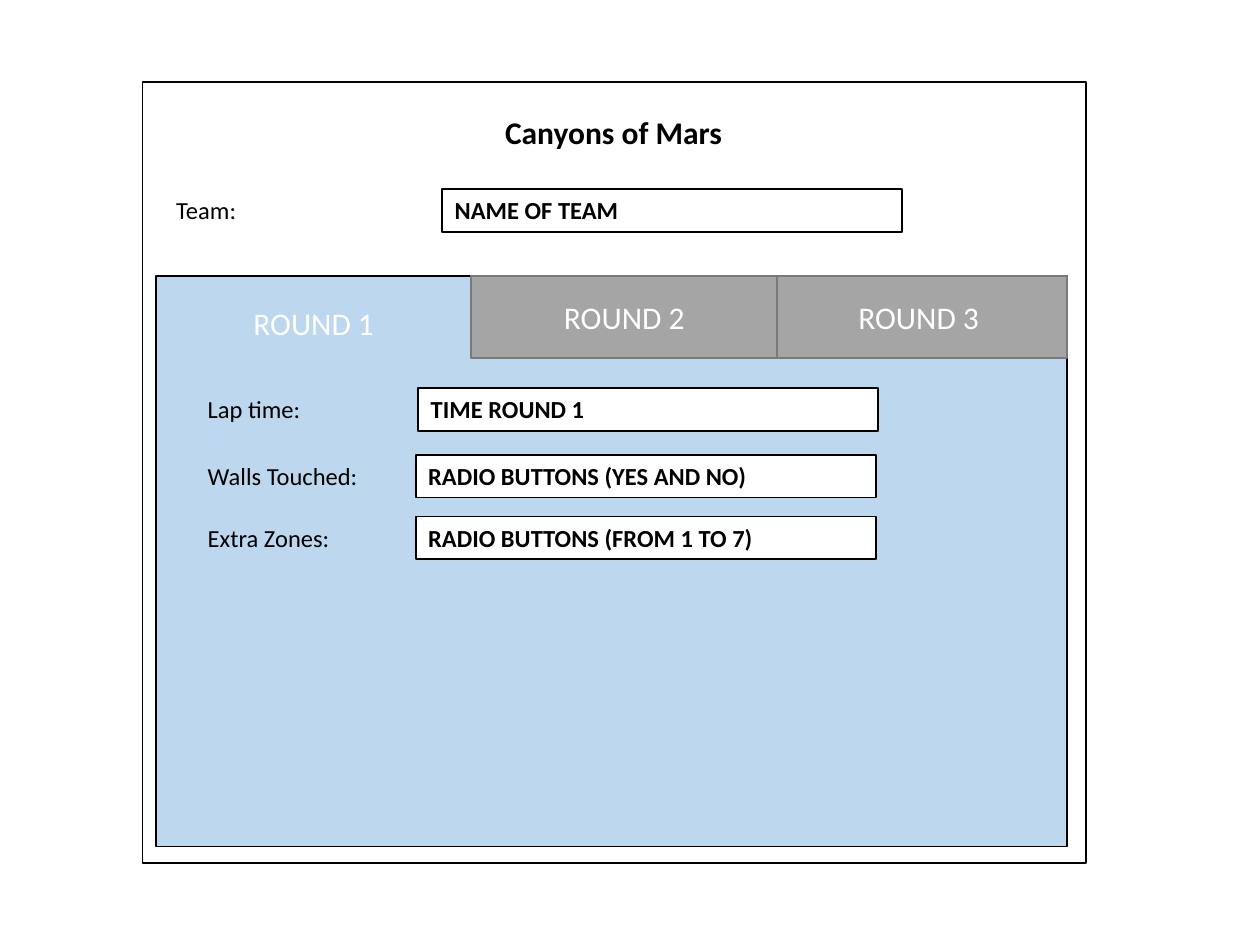
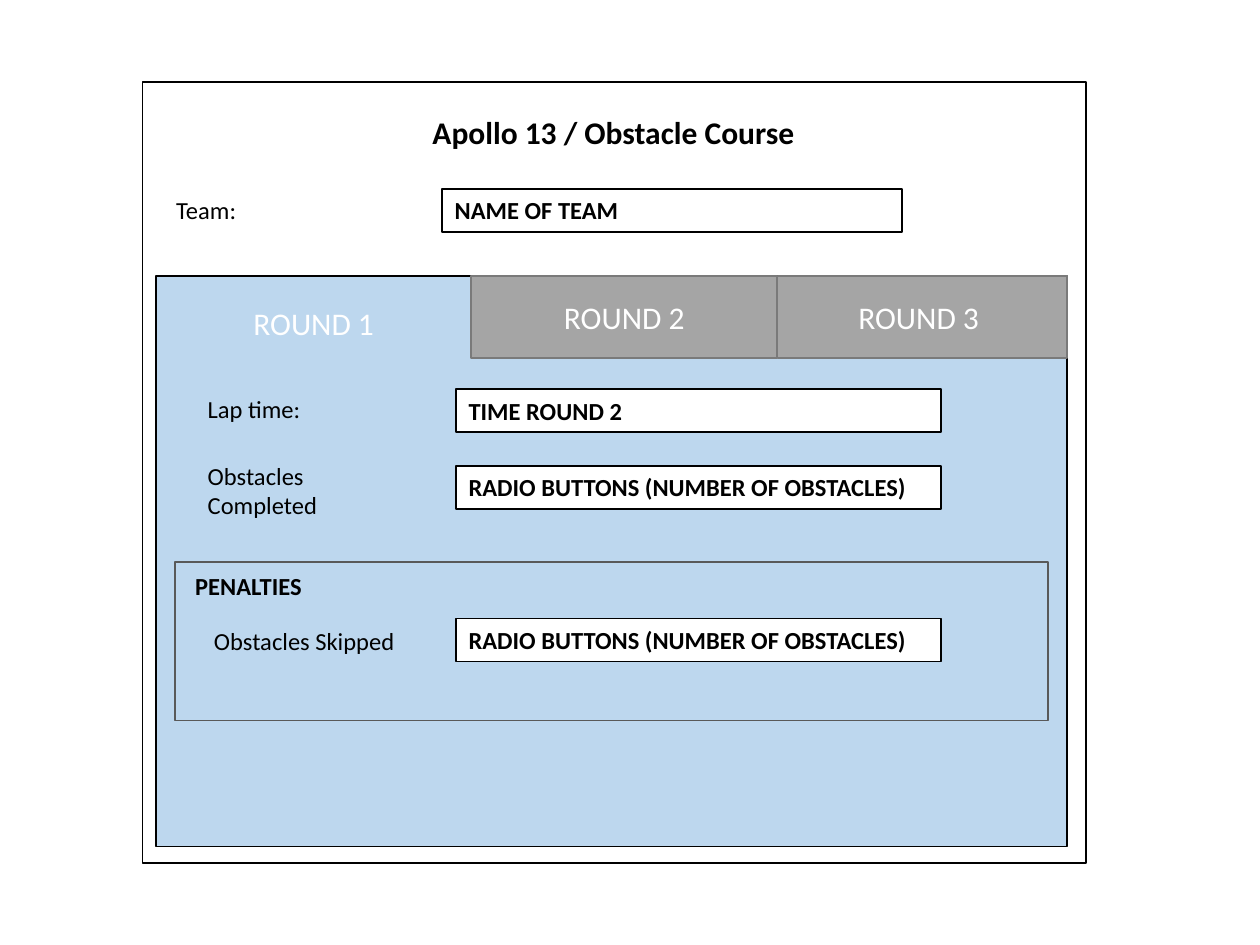
from pptx import Presentation
from pptx import util as u
from pptx.dml.color import RGBColor
from pptx.enum import shapes, text

BLACK, WHITE = "000000", "FFFFFF"
PANEL, TAB, TAB_EDGE, GROUP_EDGE = "BDD7EE", "A5A5A5", "7A7A7A", "595959"
ROW_HEIGHT = 0.34


def color(value):
    return RGBColor.from_string(value)


class FormDeck:
    """Draws mock-up score forms, one per slide, in a shared style."""

    font = "Calibri"
    body_size = 14
    heading_size = 18

    def __init__(self):
        self.presentation = Presentation()
        self.presentation.slide_width = u.Inches(10)
        self.presentation.slide_height = u.Inches(7.5)
        self.slide = None

    def add_words(self, shape, words, size, ink=BLACK, bold=False, centered=False, grow=True):
        frame = shape.text_frame
        frame.word_wrap = True
        frame.vertical_anchor = text.MSO_ANCHOR.TOP if grow else text.MSO_ANCHOR.MIDDLE
        if grow:
            frame.auto_size = text.MSO_AUTO_SIZE.SHAPE_TO_FIT_TEXT
        paragraph = frame.paragraphs[0]
        paragraph.alignment = text.PP_ALIGN.CENTER if centered else text.PP_ALIGN.LEFT
        run = paragraph.add_run()
        run.text = words
        run.font.name = self.font
        run.font.size = u.Pt(size)
        run.font.bold = bold
        run.font.color.rgb = color(ink)

    def box(self, left, top, width, height, fill=None, line=None):
        shape = self.slide.shapes.add_shape(
            shapes.MSO_SHAPE.RECTANGLE, *map(u.Inches, (left, top, width, height)))
        shape.shadow.inherit = False
        if fill:
            shape.fill.solid()
            shape.fill.fore_color.rgb = color(fill)
        else:
            shape.fill.background()
        if line:
            shape.line.color.rgb = color(line)
            shape.line.width = u.Pt(1)
        else:
            shape.line.fill.background()
        return shape

    def label(self, words, left, top, width=1.45, height=ROW_HEIGHT, size=body_size, **style):
        shape = self.slide.shapes.add_textbox(*map(u.Inches, (left, top, width, height)))
        self.add_words(shape, words, size, **style)

    def field(self, words, left, top, width=3.65):
        shape = self.box(left, top, width, ROW_HEIGHT, WHITE, BLACK)
        self.add_words(shape, words, self.body_size, bold=True)

    def tab(self, words, left, top, width, height, fill=TAB, line=TAB_EDGE):
        shape = self.box(left, top, width, height, fill, line)
        self.add_words(shape, words, self.heading_size, WHITE, centered=True, grow=False)

    def form(self, title):
        self.slide = self.presentation.slides.add_slide(self.presentation.slide_layouts[6])
        self.box(1.13, 0.65, 7.49, 6.2, line=BLACK)
        self.label(title, 2.27, 0.85, 5.2, 0.4, self.heading_size, bold=True, centered=True)
        self.label("Team:", 1.3, 1.5)
        self.field("NAME OF TEAM", 3.51, 1.5)
        self.box(1.24, 2.19, 7.23, 4.53, PANEL, BLACK)
        self.tab("ROUND 1", 1.27, 2.29, 2.44, 0.55, PANEL, None)
        self.tab("ROUND 2", 3.74, 2.19, 2.43, 0.65)
        self.tab("ROUND 3 ", 6.17, 2.19, 2.3, 0.65)
        self.label("Lap time:", 1.55, 3.08)

    def group(self, heading, left, top, width, height):
        self.box(left, top, width, height, line=GROUP_EDGE)
        self.label(heading, left + 0.06, top + 0.02, bold=True)


deck = FormDeck()

deck.form("Canyons of Mars")
deck.field("TIME ROUND 1", 3.32, 3.08)
for name, answer, top in (
    ("Walls Touched:", "RADIO BUTTONS (YES AND NO)", 3.61),
    ("Extra Zones:", "RADIO BUTTONS (FROM 1 TO 7)", 4.1),
):
    deck.label(name, 1.55, top)
    deck.field(answer, 3.3, top)

deck.form("Apollo 13 / Obstacle Course")
deck.label("Obstacles Completed", 1.55, 3.61, height=0.57)
deck.label("Obstacles Skipped", 1.6, 4.92, 1.67)
obstacle_count = "RADIO BUTTONS (NUMBER OF OBSTACLES)"
for answer, top in (("TIME ROUND 2", 3.09), (obstacle_count, 3.7), (obstacle_count, 4.91)):
    deck.field(answer, 3.62, top, 3.85)
deck.group("PENALTIES", 1.39, 4.46, 6.93, 1.26)

deck.presentation.save("out.pptx")
